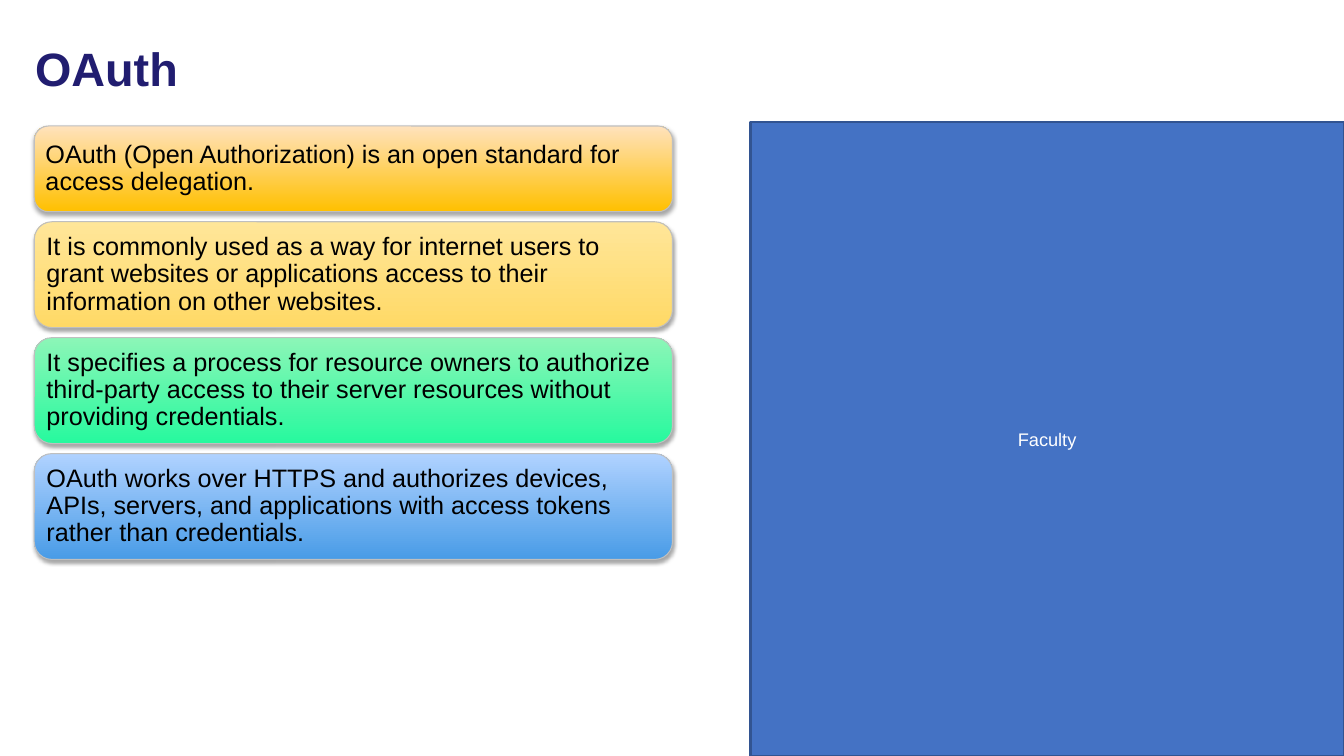
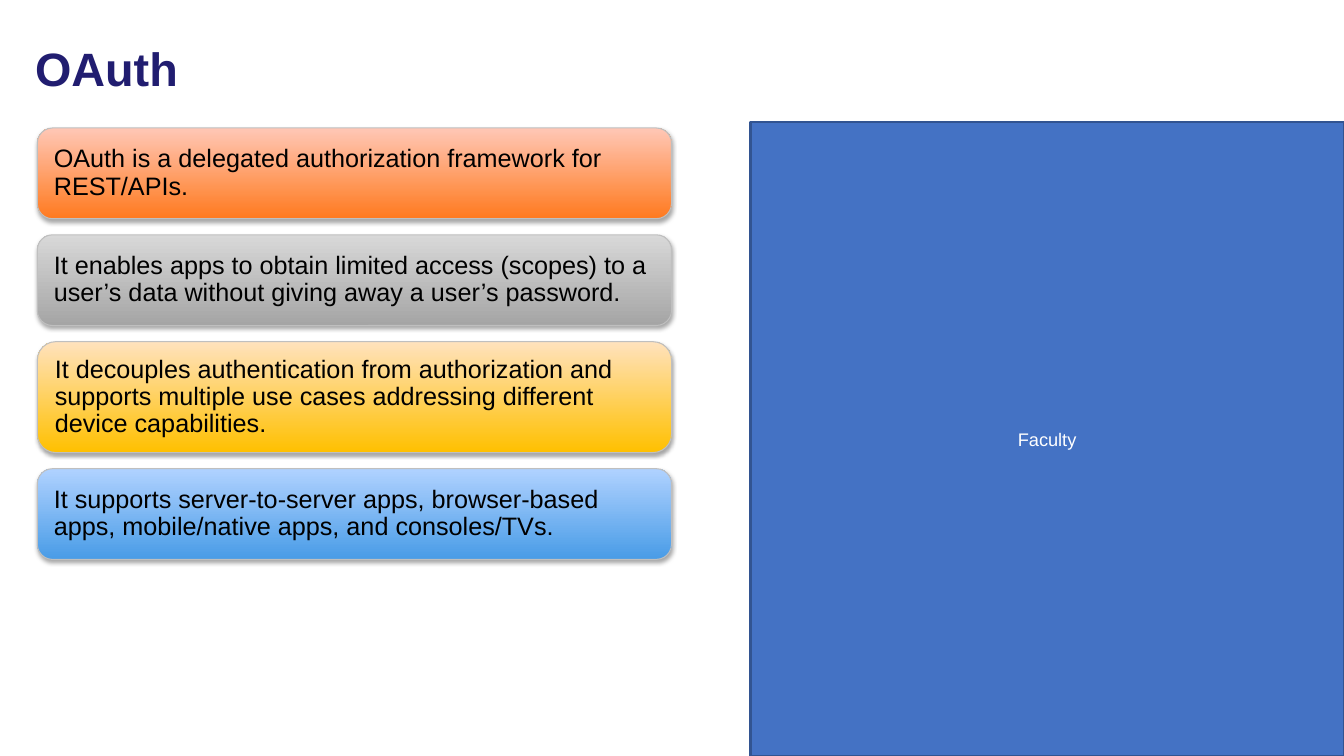
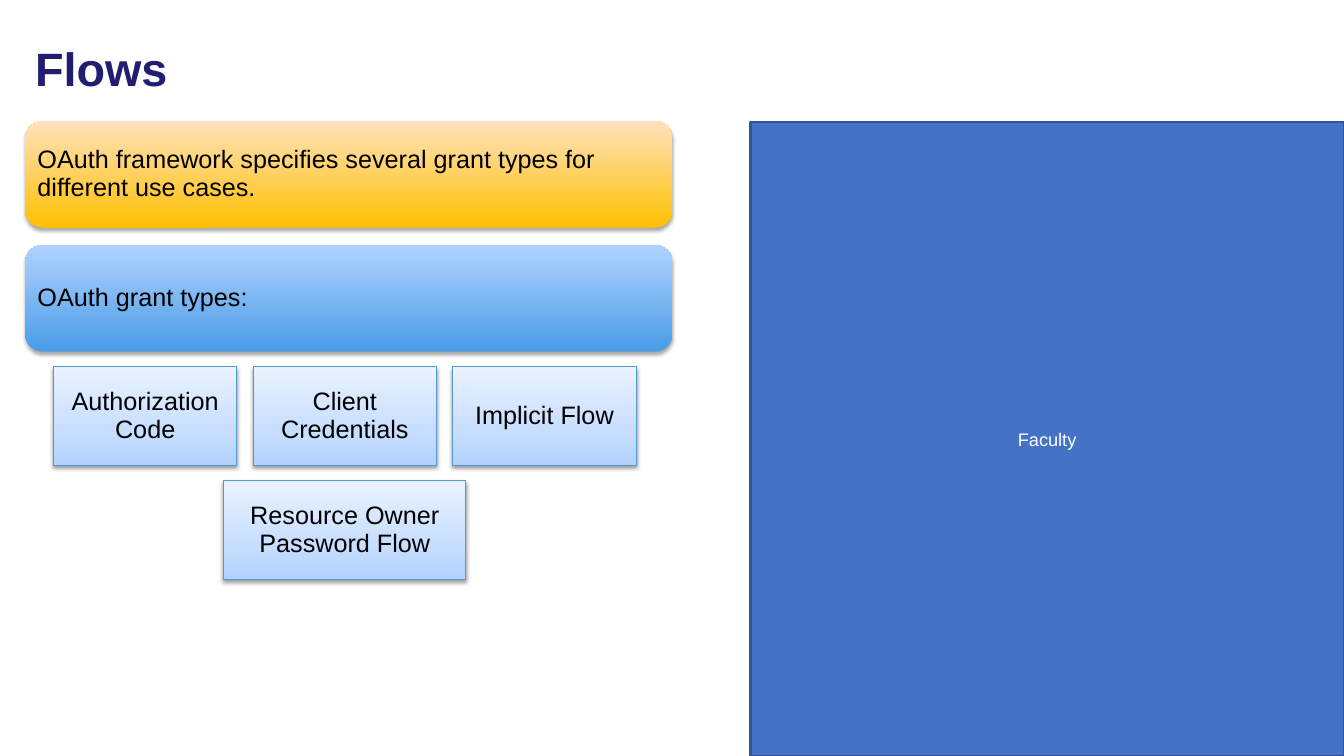
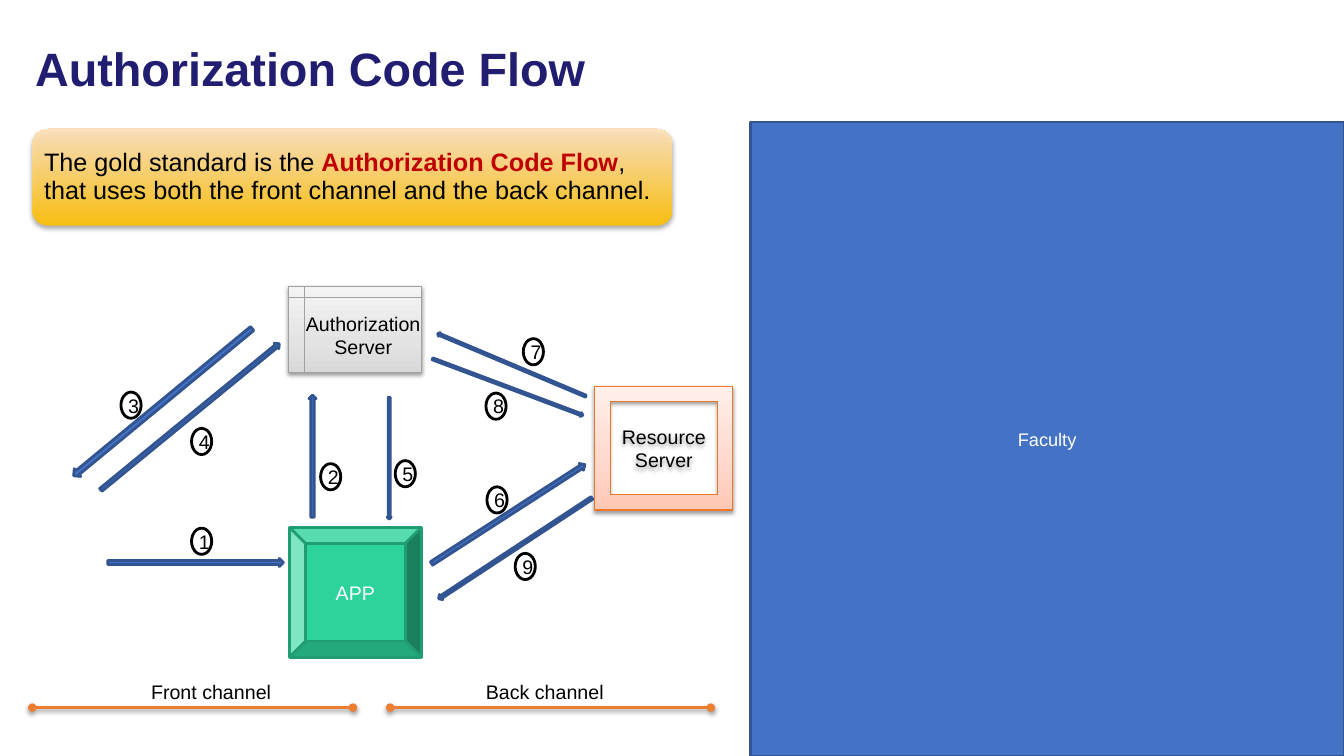
from dataclasses import dataclass
from math import atan2, degrees, hypot

from lxml.etree import SubElement
from pptx import Presentation
from pptx.dml.color import RGBColor
from pptx.enum.shapes import MSO_CONNECTOR as Connector, MSO_SHAPE as Shape
from pptx.enum.text import MSO_ANCHOR as Anchor, PP_ALIGN as Align
from pptx.oxml.ns import qn
from pptx.util import Inches, Pt

CELL = 0.1  # side of one square of the slide grid, in inches


@dataclass(frozen=True)
class Theme:
    font: str = "Arial"
    # Type sizes
    title_size: float = 33.4
    body_size: float = 18
    label_size: float = 14
    panel_size: float = 13
    # Colours
    title: str = "211D70"
    ink: str = "000000"
    paper: str = "FFFFFF"
    emphasis: str = "C00000"
    blue: str = "4472C4"
    blue_edge: str = "325491"
    card_edge: str = "BFBFBF"
    app: str = "2CD49C"
    app_edge: str = "219D73"
    grant_edge: str = "5698D3"
    server_edge: str = "A1A1A1"
    resource_edge: str = "EC792B"
    channel: str = "ED7D31"
    # Gradients, from bottom to top
    gold: tuple = ((0, "FFC000"), (100, "FFE2BD"))
    yellow: tuple = ((0, "FFD966"), (100, "FFE699"))
    green: tuple = ((0, "27F99E"), (100, "8CF6B7"))
    sky: tuple = ((0, "499CE7"), (100, "B0D2FF"))
    orange: tuple = ((0, "FF7A1F"), (100, "FFC7B6"))
    grey: tuple = ((0, "A5A5A5"), (100, "D8D8D8"))
    pale_sky: tuple = ((0, "B0D2FF"), (35, "C7DEFF"), (100, "EAF2FF"))
    pale_grey: tuple = ((0, "D8D8D8"), (35, "E3E3E3"), (100, "F4F4F4"))
    pale_orange: tuple = ((0, "FFC7B6"), (35, "FFD7CB"), (100, "FFF0EB"))
    # Shadows: opacity in percent, distance in points
    card_shadow: tuple = (35, 1.8)
    block_shadow: tuple = (38, 1.6)


THEME = Theme()


@dataclass(frozen=True)
class Box:
    """An area of the slide, in grid squares."""
    x: float
    y: float
    w: float
    h: float

    def area(self, x, y, w, h):
        return Box(self.x + x, self.y + y, w, h)

    def emu(self):
        return [Inches(n * CELL) for n in (self.x, self.y, self.w, self.h)]


TITLE = Box(2.5, 2.5, 118.1, 9.1)
PANEL = Box(74.4, 12.1, 58.9, 62.9)


# Formatting helpers

def rgb(colour):
    return RGBColor.from_string(colour)


def paint_gradient(shape, stops, opacity):
    shape.fill.gradient()
    shape.fill.gradient_angle = 90
    stop_list = shape.element.spPr.find(".//" + qn("a:gsLst"))
    stop_list.clear()
    for position, colour in stops:
        stop = SubElement(stop_list, qn("a:gs"), pos=str(position * 1000))
        tint = SubElement(stop, qn("a:srgbClr"), val=colour)
        if opacity < 100:
            SubElement(tint, qn("a:alpha"), val=str(opacity * 1000))


def cast_shadow(effects, shadow):
    opacity, distance = shadow
    outer = SubElement(effects, qn("a:outerShdw"), blurRad=str(Pt(3.1)),
                       dist=str(Pt(distance)), dir="5400000", rotWithShape="0")
    tint = SubElement(outer, qn("a:srgbClr"), val=THEME.ink)
    SubElement(tint, qn("a:alpha"), val=str(opacity * 1000))


def write(shape, text, size, colour=THEME.ink, align=Align.CENTER,
          insets=None, bold=False, spacing=None, anchor=Anchor.MIDDLE):
    """Text is a string, or a list of (words, emphasised) pairs."""
    frame = shape.text_frame
    frame.word_wrap = True
    frame.vertical_anchor = anchor
    if insets:
        side, end = (Inches(n) for n in insets[-2:])
        frame.margin_left = Inches(insets[0])
        frame.margin_right = side
        frame.margin_top = frame.margin_bottom = end
    paragraph = frame.paragraphs[0]
    paragraph.alignment = align
    paragraph.line_spacing = spacing
    font = paragraph.font
    font.name, font.size, font.bold = THEME.font, Pt(size), bold
    font.color.rgb = rgb(colour)
    for words, emphasised in [(text, False)] if isinstance(text, str) else text:
        run = paragraph.add_run()
        run.text = words
        if emphasised:
            run.font.bold = True
            run.font.color.rgb = rgb(THEME.emphasis)


def add_block(slide, kind, box, fill=None, edge=None, weight=0.75,
              shadow=None, opacity=100):
    block = slide.shapes.add_shape(kind, *box.emu())
    if fill is None:
        block.fill.background()
    elif isinstance(fill, str):
        block.fill.solid()
        block.fill.fore_color.rgb = rgb(fill)
    else:
        paint_gradient(block, fill, opacity)
    if edge:
        block.line.color.rgb = rgb(edge)
        block.line.width = Pt(weight)
    else:
        block.line.fill.background()
    block.shadow.inherit = False
    if shadow:
        cast_shadow(block.element.spPr.find(qn("a:effectLst")), shadow)
    return block


# Regions

def start_slide(deck, title):
    """Blank slide with the shared side panel and title."""
    slide = deck.slides.add_slide(deck.slide_layouts[6])
    panel = add_block(slide, Shape.RECTANGLE, PANEL, THEME.blue,
                      THEME.blue_edge, 2)
    write(panel, "Faculty", THEME.panel_size, THEME.paper)
    heading = slide.shapes.add_textbox(*TITLE.emu())
    write(heading, title, THEME.title_size, THEME.title, Align.LEFT,
          bold=True, spacing=0.9)
    return slide


def add_cards(slide, box, cards, gap=0, edge=None, indent=0.07, opacity=100):
    """Stack of rounded cards, each given as (height, gradient, text)."""
    top = 0
    for height, gradient, text in cards:
        card = add_block(slide, Shape.ROUNDED_RECTANGLE,
                         box.area(0, top, box.w, height), gradient, edge,
                         shadow=THEME.card_shadow, opacity=opacity)
        write(card, text, THEME.body_size, align=Align.LEFT,
              insets=(indent, 0.07, 0.07), spacing=0.9)
        top += height + gap


def add_grants(slide, box, rows, gap_x=1.6, gap_y=1.5):
    """Centred rows of tiles, each row given as (tile width, names)."""
    height = (box.h - gap_y * (len(rows) - 1)) / len(rows)
    for r, (width, names) in enumerate(rows):
        step = width + gap_x
        left = (box.w - step * len(names) + gap_x) / 2
        for c, name in enumerate(names):
            place = box.area(left + c * step, r * (height + gap_y), width, height)
            tile = add_block(slide, Shape.RECTANGLE, place, THEME.pale_sky,
                             THEME.grant_edge, shadow=THEME.block_shadow)
            write(tile, name, THEME.body_size, insets=(0.07, 0.07), spacing=0.9)


def add_step(slide, box, number, start, end, thickness, badge):
    """Arrow from start to end, with its numbered badge centred on a point."""
    (x1, y1), (x2, y2) = start, end
    length = hypot(x2 - x1, y2 - y1)
    place = box.area((x1 + x2 - length) / 2, (y1 + y2 - thickness) / 2,
                     length, thickness)
    arrow = add_block(slide, Shape.RIGHT_ARROW, place, THEME.blue,
                      THEME.blue_edge, 2)
    arrow.rotation = degrees(atan2(y2 - y1, x2 - x1)) % 360
    x, y = badge
    ring = add_block(slide, Shape.OVAL, box.area(x - 1, y - 1.3, 2, 2.6),
                     edge=THEME.ink, weight=2)
    write(ring, str(number), THEME.label_size)


def add_channel(slide, box, name, indent):
    """Channel name above a line with round ends."""
    left, base, width, _ = box.area(0, box.h, box.w, 0).emu()
    bar = slide.shapes.add_connector(Connector.STRAIGHT, left, base,
                                     left + width, base)
    bar.line.color.rgb = rgb(THEME.channel)
    bar.line.width = Pt(2)
    stroke = bar.element.spPr.find(qn("a:ln"))
    for end in ("a:headEnd", "a:tailEnd"):
        SubElement(stroke, qn(end), type="oval")
    cast_shadow(SubElement(bar.element.spPr, qn("a:effectLst")),
                THEME.block_shadow)
    label = slide.shapes.add_textbox(*box.area(indent, 0, 18, 2.6).emu())
    write(label, name, THEME.label_size, align=Align.LEFT, anchor=Anchor.TOP)


def add_flow_diagram(slide, box):
    # Parties
    server = add_block(slide, Shape.FLOWCHART_INTERNAL_STORAGE,
                       box.area(25.6, 0.4, 13.2, 8.6), THEME.pale_grey,
                       THEME.server_edge, shadow=THEME.block_shadow)
    write(server, "Authorization Server", THEME.label_size, insets=(0, 0.05))
    app = add_block(slide, Shape.BEVEL, box.area(25.7, 24.3, 13.1, 12.9),
                    THEME.app, THEME.app_edge, 2)
    write(app, "APP", THEME.label_size, THEME.paper)
    resource = add_block(slide, Shape.FRAME, box.area(56, 10.3, 13.7, 12.3),
                         THEME.pale_orange, THEME.resource_edge,
                         shadow=THEME.block_shadow)
    write(resource, "Resource Server", THEME.label_size)

    # Steps: start, end, thickness, badge centre
    steps = [
        ((7.7, 27.8), (25.1, 27.8), 0.8, (17, 25.7)),
        ((28, 23.3), (28, 11.2), 0.7, (29.8, 19.3)),
        ((22, 4.6), (4.3, 19.2), 1, (10, 12.2)),
        ((7, 20.6), (24.7, 6.1), 0.7, (17, 15.8)),
        ((35.6, 11.4), (35.6, 23.5), 0.4, (37.2, 19)),
        ((39.8, 27.9), (55, 18.1), 0.8, (46.3, 21.6)),
        ((55.1, 11.3), (40.4, 5.1), 0.4, (49.9, 6.9)),
        ((39.9, 7.6), (54.8, 13.2), 0.4, (46.2, 12.3)),
        ((55.7, 21.4), (40.5, 31.4), 0.6, (49.1, 28.2)),
    ]
    for number, step in enumerate(steps, 1):
        add_step(slide, box, number, *step)

    # Channels
    add_channel(slide, box.area(0.2, 39, 31.8, 3.2), "Front channel", 10.8)
    add_channel(slide, box.area(35.7, 39, 31.8, 3.2), "Back channel", 8.5)


# Slides

def build_definition(deck):
    slide = start_slide(deck, "OAuth")
    add_cards(slide, Box(3.4, 12.5, 63.3, 43), [
        (8.5, THEME.gold, "OAuth (Open Authorization) is an open standard for "
         "access delegation."),
        (10.5, THEME.yellow, "It is commonly used as a way for internet users "
         "to grant websites or applications access to their information on "
         "other websites."),
        (10.5, THEME.green, "It specifies a process for resource owners to "
         "authorize third-party access to their server resources without "
         "providing credentials."),
        (10.5, THEME.sky, "OAuth works over HTTPS and authorizes devices, APIs, "
         "servers, and applications with access tokens rather than "
         "credentials."),
    ], gap=1, edge=THEME.card_edge)


def build_framework(deck):
    slide = start_slide(deck, "OAuth")
    add_cards(slide, Box(3.7, 12.7, 62.9, 42.8), [
        (9, THEME.orange, "OAuth is a delegated authorization framework for "
         "REST/APIs."),
        (9, THEME.grey, "It enables apps to obtain limited access (scopes) to a "
         "user’s data without giving away a user’s password."),
        (11, THEME.gold, "It decouples authentication from authorization and "
         "supports multiple use cases addressing different device "
         "capabilities."),
        (9, THEME.sky, "It supports server-to-server apps, browser-based apps, "
         "mobile/native apps, and consoles/TVs."),
    ], gap=1.6, edge=THEME.card_edge, indent=0.12)


def build_flows(deck):
    slide = start_slide(deck, "Flows")
    add_cards(slide, Box(2.5, 12, 64.2, 22.9), [
        (10.6, THEME.gold, "OAuth framework specifies several grant types for "
         "different use cases."),
        (10.6, THEME.sky, "OAuth grant types:"),
    ], gap=1.7)
    add_grants(slide, Box(5.3, 36.4, 57.8, 21.1), [
        (18.2, ["Authorization Code", "Client Credentials", "Implicit Flow"]),
        (24, ["Resource Owner Password Flow"]),
    ])


def build_code_flow(deck):
    slide = start_slide(deck, "Authorization Code Flow")
    add_cards(slide, Box(3.2, 12.8, 63.5, 9.6), [
        (9.6, THEME.gold, [
            ("The gold standard is the ", False),
            ("Authorization Code Flow", True),
            (", that uses both the front channel and the back channel.", False),
        ]),
    ], opacity=90)
    add_flow_diagram(slide, Box(3, 28, 70, 43))


def main():
    deck = Presentation()
    deck.slide_width, deck.slide_height = Inches(13.33), Inches(7.5)
    for build in (build_definition, build_framework, build_flows,
                  build_code_flow):
        build(deck)
    deck.save("out.pptx")


if __name__ == "__main__":
    main()
